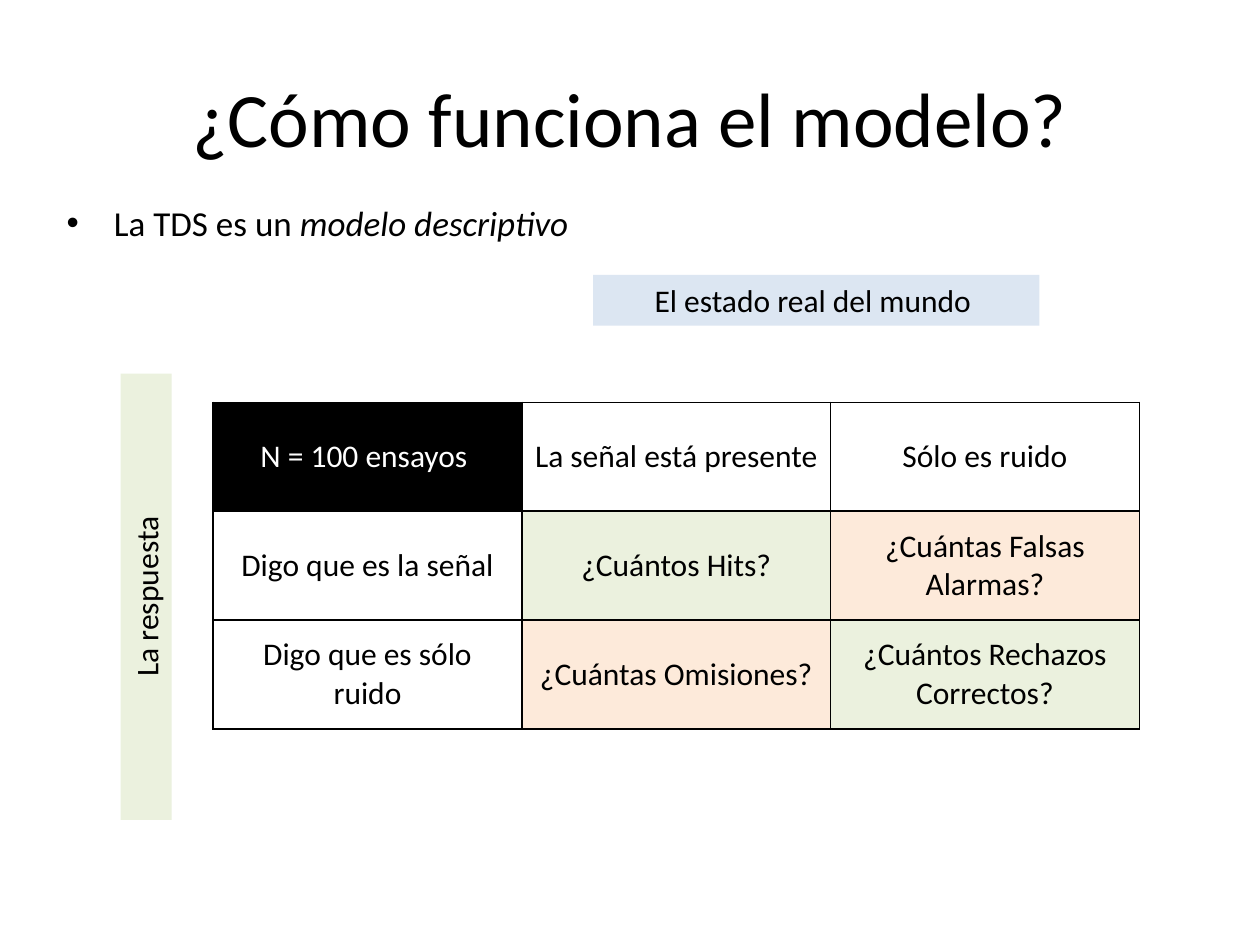
from lxml.etree import SubElement
from pptx import Presentation
from pptx.dml.color import RGBColor
from pptx.enum.shapes import MSO_SHAPE as Shape
from pptx.enum.text import MSO_ANCHOR as Anchor, PP_ALIGN as Align
from pptx.oxml.ns import qn
from pptx.util import Pt

FONT = "Calibri"
BLACK = RGBColor(0x00, 0x00, 0x00)
WHITE = RGBColor(0xFF, 0xFF, 0xFF)
BLUE = RGBColor(0xDC, 0xE6, 0xF2)
GREEN = RGBColor(0xEB, 0xF1, 0xDE)
ORANGE = RGBColor(0xFD, 0xEA, 0xDA)

LABEL_WIDTH, LABEL_HEIGHT = 255, 29.1
COLUMN_WIDTH, ROW_HEIGHT = 176.4, 62.2

# Each cell: text, fill
ROWS = [
    [("N = 100 ensayos ", BLACK), ("La señal está presente", None),
     ("Sólo es ruido", None)],
    [("Digo que es la señal", None), ("¿Cuántos Hits?", GREEN),
     ("¿Cuántas Falsas Alarmas?", ORANGE)],
    [("Digo que es sólo ruido", None), ("¿Cuántas Omisiones?", ORANGE),
     ("¿Cuántos Rechazos Correctos?", GREEN)],
]


def style_para(para, size, color=BLACK, align=Align.CENTER):
    para.alignment = align
    para.font.name = FONT
    para.font.size = Pt(size)
    para.font.color.rgb = color


def add_text_box(page, left, top, width, height, anchor):
    box = page.shapes.add_textbox(Pt(left), Pt(top), Pt(width), Pt(height))
    box.text_frame.word_wrap = True
    box.text_frame.vertical_anchor = anchor
    return box.text_frame.paragraphs[0]


def add_title(page, text):
    para = add_text_box(page, 36, 21.6, 648, 90, Anchor.MIDDLE)
    para.text = text
    style_para(para, 44)


def add_bullet(page, plain, emphasis):
    para = add_text_box(page, 31, 111.6, 648, 356.4, Anchor.TOP)
    para.add_run().text = plain
    span = para.add_run()
    span.text = emphasis
    span.font.italic = True
    style_para(para, 20, align=Align.LEFT)
    para.space_before = Pt(4)
    # Hanging bullet; it must come before the default run properties
    props = para._p.get_or_add_pPr()
    props.set("marL", str(Pt(27)))
    props.set("indent", str(-Pt(27)))
    defaults = props.find(qn("a:defRPr"))
    font = SubElement(props, qn("a:buFont"), typeface="Arial")
    bullet = SubElement(props, qn("a:buChar"), char="•")
    if defaults is not None:
        defaults.addprevious(font)
        defaults.addprevious(bullet)


def add_label(page, text, left, top, fill, rotation=0):
    label = page.shapes.add_shape(Shape.RECTANGLE, Pt(left), Pt(top),
                                  Pt(LABEL_WIDTH), Pt(LABEL_HEIGHT))
    label.shadow.inherit = False
    label.rotation = rotation
    label.fill.solid()
    label.fill.fore_color.rgb = fill
    label.line.fill.background()
    label.text_frame.word_wrap = True
    label.text_frame.vertical_anchor = Anchor.TOP
    para = label.text_frame.paragraphs[0]
    para.text = text
    style_para(para, 18)


def set_borders(cell):
    props = cell._tc.get_or_add_tcPr()
    for index, side in enumerate(("lnL", "lnR", "lnT", "lnB")):
        line = SubElement(props, qn("a:" + side), w=str(Pt(1)))
        fill = SubElement(line, qn("a:solidFill"))
        SubElement(fill, qn("a:srgbClr"), val=str(BLACK))
        props.insert(index, line)


def add_matrix(page, left, top):
    rows, columns = len(ROWS), len(ROWS[0])
    table = page.shapes.add_table(
        rows, columns, Pt(left), Pt(top),
        Pt(columns * COLUMN_WIDTH), Pt(rows * ROW_HEIGHT)).table
    table.first_row = table.horz_banding = False
    for column in table.columns:
        column.width = Pt(COLUMN_WIDTH)
    for row, contents in zip(table.rows, ROWS):
        row.height = Pt(ROW_HEIGHT)
        for cell, (text, fill) in zip(row.cells, contents):
            cell.text = text
            cell.vertical_anchor = Anchor.MIDDLE
            style_para(cell.text_frame.paragraphs[0], 18,
                       WHITE if fill == BLACK else BLACK)
            if fill is None:
                cell.fill.background()
            else:
                cell.fill.solid()
                cell.fill.fore_color.rgb = fill
            set_borders(cell)


def main():
    deck = Presentation()
    deck.slide_width, deck.slide_height = Pt(720), Pt(540)
    page = deck.slides.add_slide(deck.slide_layouts[6])

    # Heading and statement
    add_title(page, "¿Cómo funciona el modelo?")
    add_bullet(page, "La TDS es un ", "modelo descriptivo")

    # Axis labels around the decision matrix
    add_label(page, "El estado real del mundo ", 339, 157, BLUE)
    add_label(page, "La respuesta", -44, 326.4, GREEN, rotation=270)
    add_matrix(page, 121.8, 229.9)

    deck.save("out.pptx")


main()
